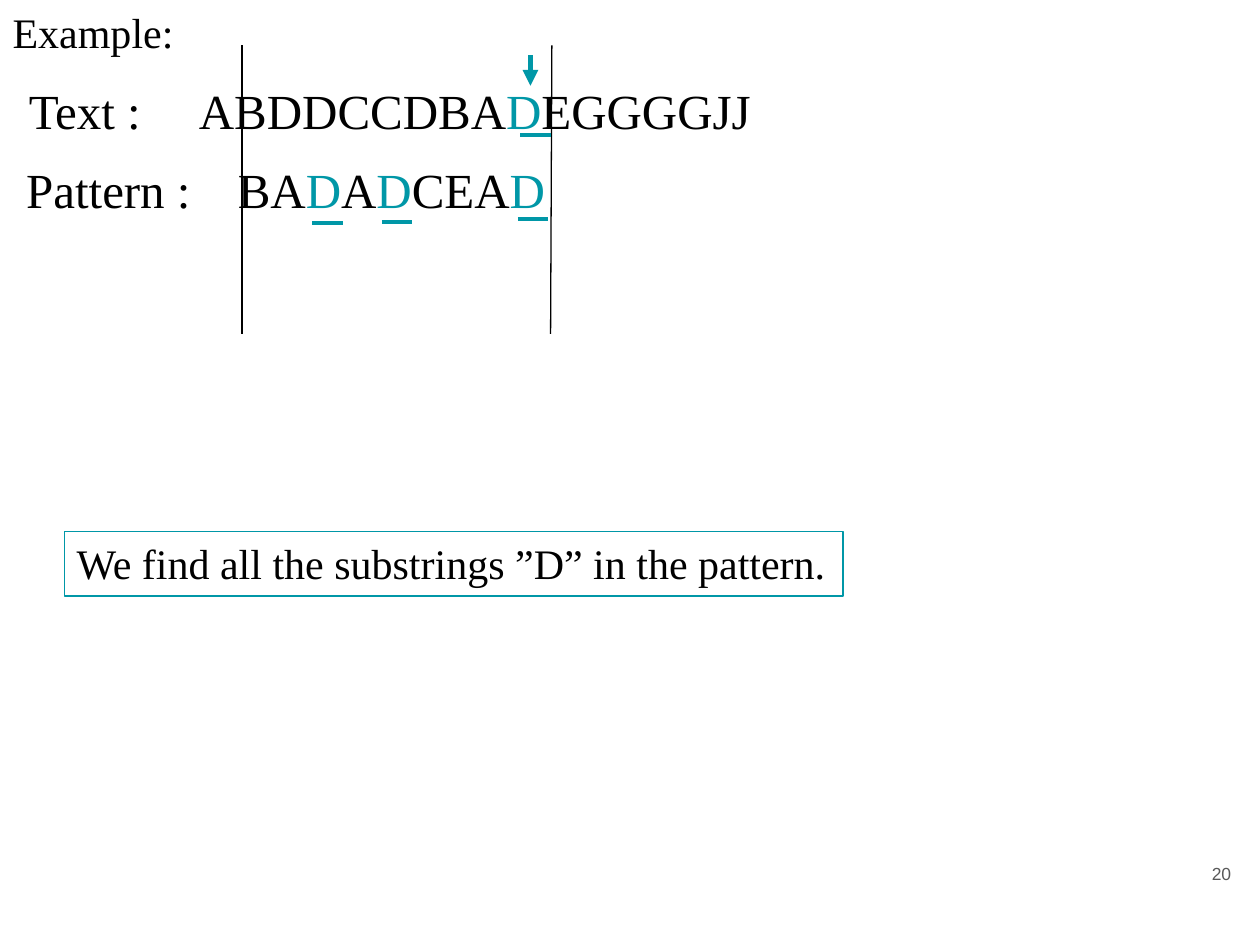
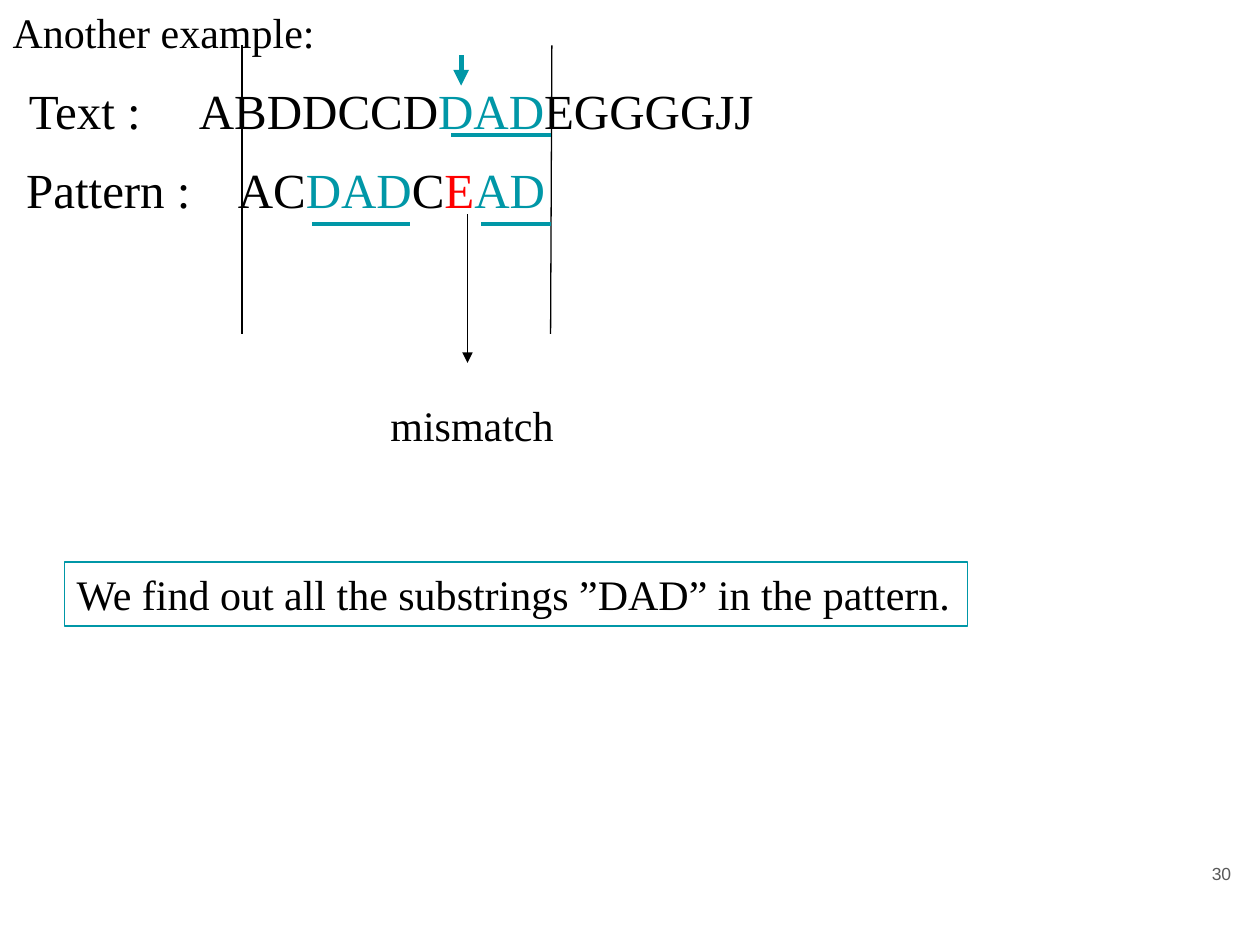
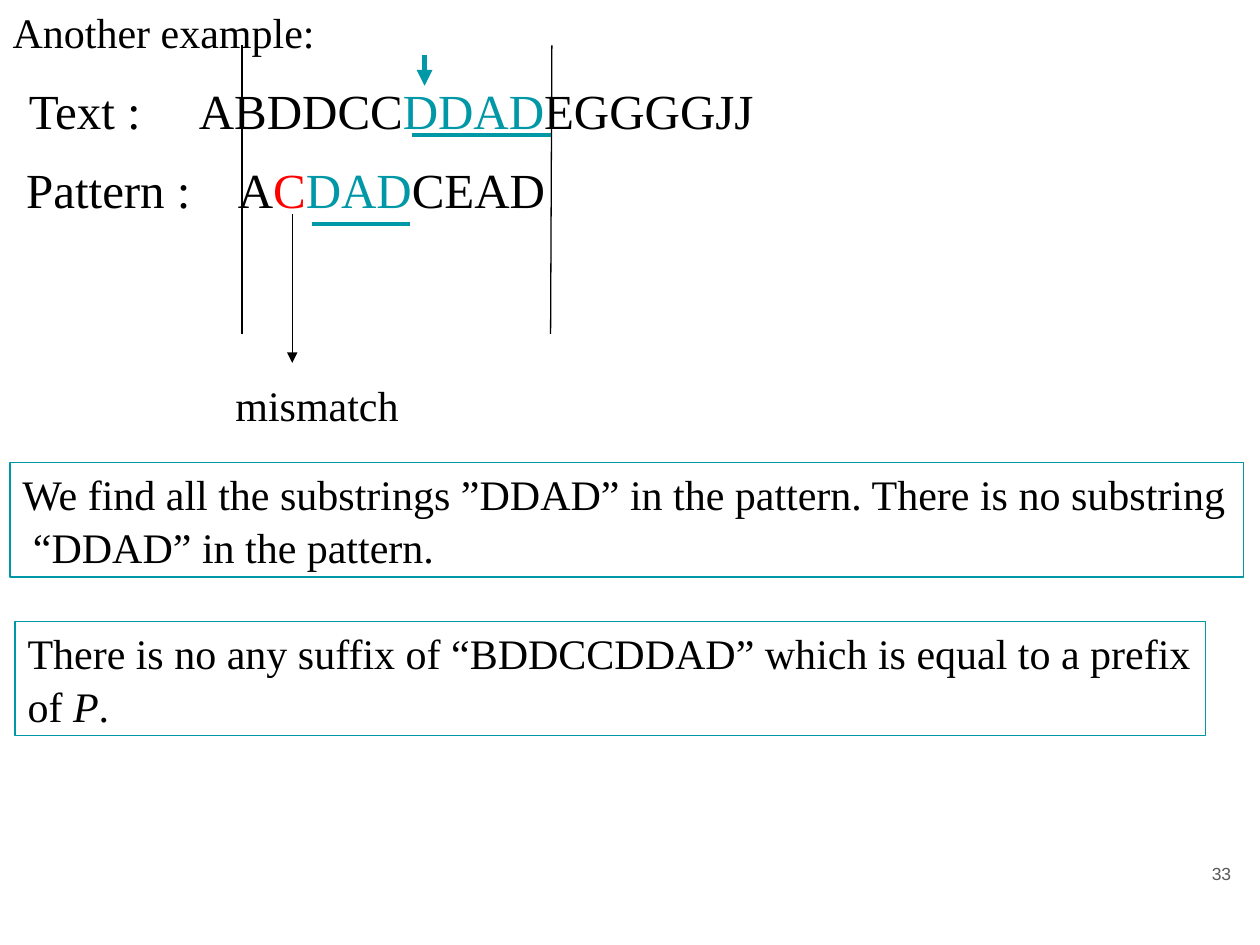
import pptx
import pptx.util
import pptx.dml.color
import pptx.enum.shapes
import pptx.enum.text
import pptx.oxml
import pptx.oxml.ns

BLACK, TEAL, RED, WHITE, GREY = "000000", "0097A7", "FF0000", "FFFFFF", "595959"
SERIF, SANS = "Times New Roman", "Arial"
COLUMNS, ROWS = 100, 75
WIDTH, HEIGHT = pptx.util.Inches(10), pptx.util.Inches(7.5)
TITLE_ONLY = 5
TEXT_UNDERLINE_ROW, PATTERN_UNDERLINE_ROW = 10.7, 17.8
WINDOW_RIGHT = 43.7
DAD_UNDERLINE = (24.8, 32.5, PATTERN_UNDERLINE_ROW)


def column(number):
    return round(WIDTH * number / COLUMNS)


def row(number):
    return round(HEIGHT * number / ROWS)


def colour(value):
    return pptx.dml.color.RGBColor.from_string(value)


def place(shape, left, top, width, height):
    shape.left, shape.top = column(left), row(top)
    shape.width, shape.height = column(width), row(height)


def add_run(paragraph, text, size, ink=BLACK, font=SERIF, italic=False):
    run = paragraph.add_run()
    run.text = text
    run.font.size = pptx.util.Pt(size)
    run.font.name = font
    run.font.italic = italic
    run.font.color.rgb = colour(ink)


def prepare_frame(shape):
    frame = shape.text_frame
    frame.word_wrap = True
    frame.auto_size = pptx.enum.text.MSO_AUTO_SIZE.NONE
    frame.vertical_anchor = pptx.enum.text.MSO_ANCHOR.TOP
    frame.margin_left = frame.margin_right = pptx.util.Inches(0.1)
    frame.margin_top = frame.margin_bottom = pptx.util.Inches(0.05)
    frame.paragraphs[0].alignment = pptx.enum.text.PP_ALIGN.LEFT
    return frame


def add_text_box(slide, left, top, width, height):
    box = slide.shapes.add_textbox(
        column(left), row(top), column(width), row(height))
    return prepare_frame(box).paragraphs[0]


def add_tab_stop(paragraph, position):
    properties = paragraph._p.get_or_add_pPr()
    properties.append(pptx.oxml.parse_xml(
        f'<a:tabLst {pptx.oxml.ns.nsdecls("a")}>'
        f'<a:tab pos="{column(position)}" algn="l"/></a:tabLst>'))


def add_letters(slide, label, runs, left, top, width, tab):
    paragraph = add_text_box(slide, left, top, width, 5.7)
    add_tab_stop(paragraph, tab)
    add_run(paragraph, label + "\t", 28)
    for text, ink in runs:
        add_run(paragraph, text, 28, ink)


def add_line(slide, start, end, ink=BLACK, weight=0.75, arrow=False):
    line = slide.shapes.add_connector(
        pptx.enum.shapes.MSO_CONNECTOR.STRAIGHT,
        column(start[0]), row(start[1]), column(end[0]), row(end[1]))
    line.line.color.rgb = colour(ink)
    line.line.width = pptx.util.Pt(weight)
    namespace = pptx.oxml.ns.nsdecls("a")
    if arrow:
        line.line._get_or_add_ln().append(
            pptx.oxml.parse_xml(f'<a:tailEnd {namespace} type="triangle"/>'))
    line._element.spPr.append(pptx.oxml.parse_xml(f"<a:effectLst {namespace}/>"))


def add_note(slide, paragraphs, left, top, width, height=5.1, border=TEAL):
    note = slide.shapes.add_shape(
        pptx.enum.shapes.MSO_SHAPE.RECTANGLE,
        column(left), row(top), column(width), row(height))
    note.shadow.inherit = False
    note.fill.background()
    note.line.color.rgb = colour(border)
    note.line.width = pptx.util.Pt(0.75)
    frame = prepare_frame(note)
    for index, runs in enumerate(paragraphs):
        paragraph = frame.add_paragraph() if index else frame.paragraphs[0]
        paragraph.alignment = pptx.enum.text.PP_ALIGN.LEFT
        if index:
            paragraph.space_before = pptx.util.Pt(1.5)
        for text, italic in runs:
            add_run(paragraph, text, 24, italic=italic)


def add_mismatch(slide, arrow_column, left, top):
    add_note(slide, [[("mismatch", False)]], left, top, 15.1, border=WHITE)
    add_line(slide, (arrow_column, 17), (arrow_column, 28.8), arrow=True)


def add_example(presentation, title, title_width, number, text_runs,
                pattern_runs, pointer, underlines):
    slide = presentation.slides.add_slide(presentation.slide_layouts[TITLE_ONLY])
    place(slide.shapes.title, 0, 0, title_width, 5)
    add_run(prepare_frame(slide.shapes.title).paragraphs[0], title, 24)

    page = add_text_box(slide, 92.7, 68, 6, 5.7)
    page.alignment = pptx.enum.text.PP_ALIGN.RIGHT
    add_run(page, number, 10, GREY, SANS)

    add_letters(slide, "Text :", text_runs, 1.3, 5.9, 60.1, 13.5)
    add_letters(slide, "Pattern :", pattern_runs, 1.1, 12.2, 43.4, 16.8)
    add_line(slide, (19.2, 3.6), (19.2, 26.5))
    add_line(slide, (43.8, 3.6), (WINDOW_RIGHT, 26.5))
    add_line(slide, (pointer, 4.4), (pointer, 6.8), TEAL, 3, arrow=True)
    for left, right, level in underlines:
        add_line(slide, (left, level), (right, level), TEAL, 2.25)
    return slide


def main():
    presentation = pptx.Presentation()
    presentation.slide_width, presentation.slide_height = WIDTH, HEIGHT

    single = add_example(
        presentation, "Example:", 16.1, "20",
        [("ABDDCCDBA", BLACK), ("D", TEAL), ("EGGGGJJ", BLACK)],
        [("BA", BLACK), ("D", TEAL), ("A", BLACK), ("D", TEAL),
         ("CEA", BLACK), ("D", TEAL)],
        42.1,
        [(41.3, WINDOW_RIGHT, TEXT_UNDERLINE_ROW), (41.1, 43.5, 17.4),
         (30.3, 32.7, 17.6), (24.8, 27.2, 17.7)])
    add_note(single, [[("We find all the substrings ”D” in the pattern.", False)]],
             5.1, 42.2, 61.8)

    triple = add_example(
        presentation, "Another example:", 28.4, "30",
        [("ABDDCCD", BLACK), ("DAD", TEAL), ("EGGGGJJ", BLACK)],
        [("AC", BLACK), ("DAD", TEAL), ("C", BLACK), ("E", RED), ("AD", TEAL)],
        36.6,
        [(35.8, WINDOW_RIGHT, TEXT_UNDERLINE_ROW),
         (38.2, WINDOW_RIGHT, PATTERN_UNDERLINE_ROW), DAD_UNDERLINE])
    add_mismatch(triple, 37.1, 30, 31.2)
    add_note(triple,
             [[("We find out all the substrings ”DAD” in the pattern.", False)]],
             5.1, 44.6, 71.7)

    quadruple = add_example(
        presentation, "Another example:", 28.4, "33",
        [("ABDDCC", BLACK), ("DDAD", TEAL), ("EGGGGJJ", BLACK)],
        [("A", BLACK), ("C", RED), ("DAD", TEAL), ("CEAD", BLACK)],
        33.7,
        [(32.7, WINDOW_RIGHT, TEXT_UNDERLINE_ROW), DAD_UNDERLINE])
    add_mismatch(quadruple, 23.2, 17.7, 29.6)
    add_note(quadruple,
             [[("We find all the substrings ”DDAD” in the pattern. "
                "There is no substring", False)],
              [(" “DDAD” in the pattern.", False)]],
             0.8, 36.7, 97.9, 9.1)
    add_note(quadruple,
             [[("There is no any suffix of “BDDCCDDAD” which is equal "
                "to a prefix", False)],
              [("of ", False), ("P", True), (".", False)]],
             1.2, 49.3, 94.5, 9.1)

    presentation.save("out.pptx")


if __name__ == "__main__":
    main()
